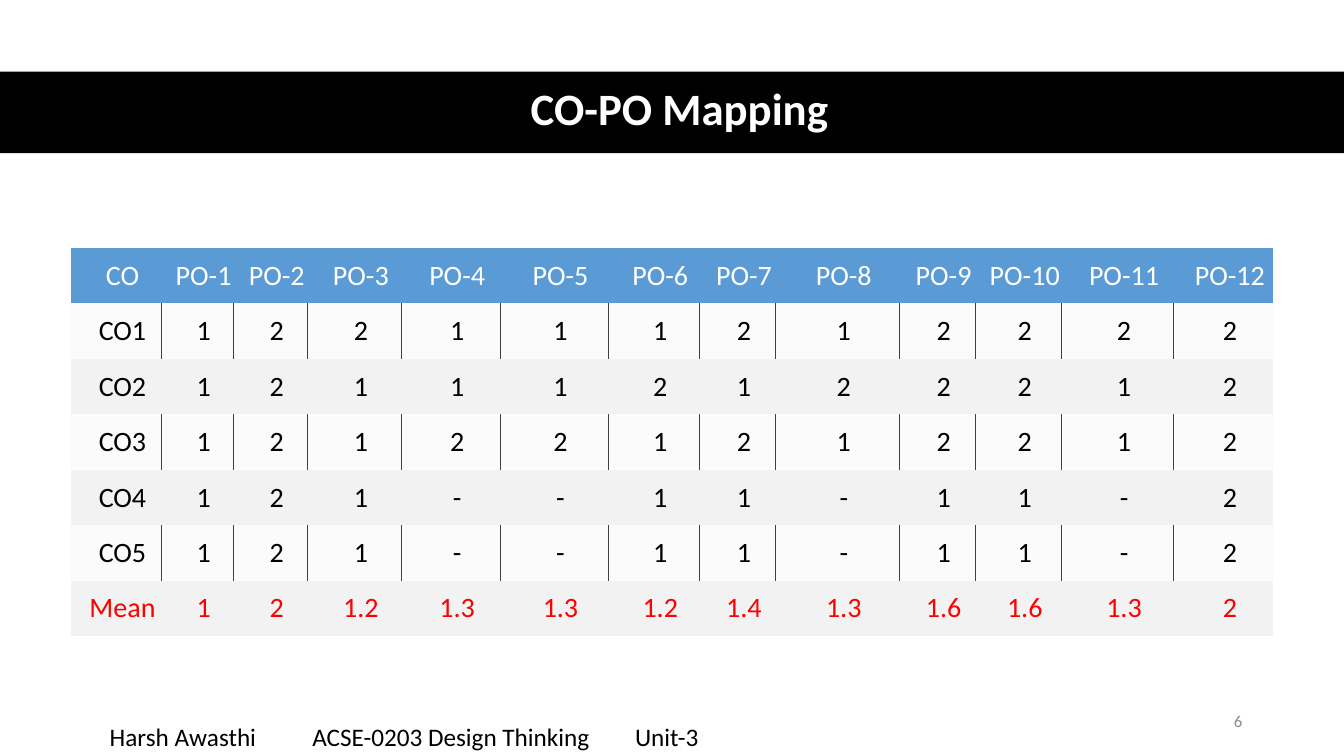
from lxml import etree
from pptx import Presentation
from pptx.dml.color import RGBColor
from pptx.enum import shapes, text
from pptx.oxml import ns
from pptx.util import Inches, Pt

FONT = "Calibri"
NO_STYLE = "{2D5ABB26-0587-4C30-8999-92F81FD0307C}"
MIDDLE = text.MSO_ANCHOR.MIDDLE
ALIGN = text.PP_ALIGN

COL_WIDTHS = [0.9, 0.71, 0.74, 0.93, 0.98, 1.07, 0.91, 0.75, 1.23, 0.75, 0.86, 1.11, 0.99]
ROWS = [
    ["CO"] + [f"PO-{n}" for n in range(1, 13)],
    "CO1 1 2 2 1 1 1 2 1 2 2 2 2".split(),
    "CO2 1 2 1 1 1 2 1 2 2 2 1 2".split(),
    "CO3 1 2 1 2 2 1 2 1 2 2 1 2".split(),
    "CO4 1 2 1 - - 1 1 - 1 1 - 2".split(),
    "CO5 1 2 1 - - 1 1 - 1 1 - 2".split(),
    "Mean 1 2 1.2 1.3 1.3 1.2 1.4 1.3 1.6 1.6 1.3 2".split(),
]


def color(value):
    return RGBColor.from_string(value)


def set_attrs(obj, values):
    for name, value in values.items():
        setattr(obj, name, value)


def box(*lengths):
    return dict(zip(("left", "top", "width", "height"), map(Inches, lengths)))


def write(tf, content, size, hex_color, align, bold=False):
    p = tf.paragraphs[0]
    p.alignment = align
    r = p.add_run()
    r.text = content
    set_attrs(r.font, {"name": FONT, "size": Pt(size), "bold": bold})
    r.font.color.rgb = color(hex_color)
    return p


def add_bar(slide, place, fill):
    sp = slide.shapes.add_shape(shapes.MSO_SHAPE.RECTANGLE, **place)
    sp.shadow.inherit = False
    sp.fill.solid()
    sp.fill.fore_color.rgb = color(fill)
    sp.line.fill.background()


def add_title(slide, place, content):
    sp = slide.shapes.title
    set_attrs(sp, place)
    sp.text_frame.vertical_anchor = MIDDLE
    p = write(sp.text_frame, content, 32, "FFFFFF", ALIGN.CENTER, True)
    p.line_spacing = 0.9
    # Bring the title in front of the bar
    slide.shapes.element.append(sp.element)


def add_label(slide, place, content, size, hex_color, align, anchor, tabs=()):
    tf = slide.shapes.add_textbox(**place).text_frame
    set_attrs(tf, {"word_wrap": True, "vertical_anchor": anchor})
    p = write(tf, content, size, hex_color, align)
    if tabs:
        tab_list = etree.SubElement(p._p.get_or_add_pPr(), ns.qn("a:tabLst"))
        for pos in tabs:
            etree.SubElement(tab_list, ns.qn("a:tab"), pos=str(Inches(pos)), algn="l")


def cell_border(tc_pr, index, side):
    ln = etree.Element(ns.qn(f"a:ln{side}"), w=str(Pt(0.5)))
    fill = etree.SubElement(ln, ns.qn("a:solidFill"))
    etree.SubElement(fill, ns.qn("a:srgbClr"), val="404040")
    tc_pr.insert(index, ln)


def format_cell(cell, content, row, col):
    header, mean = row == 0, row == len(ROWS) - 1
    set_attrs(cell, {
        "margin_left": Inches(0.14), "margin_right": Inches(0.01),
        "margin_top": Inches(0.1), "margin_bottom": Inches(0.1),
        "vertical_anchor": MIDDLE,
    })
    hex_color = "FFFFFF" if header else "FF0000" if mean else "000000"
    write(cell.text_frame, content, 20, hex_color, ALIGN.CENTER)
    cell.fill.solid()
    cell.fill.fore_color.rgb = color("5B9BD5" if header else "F2F2F2")
    # Odd rows are translucent, with lines between the columns
    if row % 2:
        tc_pr = cell._tc.get_or_add_tcPr()
        clr = tc_pr.find(ns.qn("a:solidFill"))[0]
        etree.SubElement(clr, ns.qn("a:alpha"), val="30000")
        sides = [s for s, inner in (("L", col > 0), ("R", col < len(COL_WIDTHS) - 1)) if inner]
        for i, side in enumerate(sides):
            cell_border(tc_pr, i, side)


def add_mapping_table(slide, place):
    frame = slide.shapes.add_table(len(ROWS), len(COL_WIDTHS), **place)
    table = frame.table
    table.horz_banding = False
    table._tbl.tblPr.find(ns.qn("a:tableStyleId")).text = NO_STYLE
    for column, width in zip(table.columns, COL_WIDTHS):
        column.width = Inches(width)
    for i, values in enumerate(ROWS):
        table.rows[i].height = Inches(0.55)
        for j, value in enumerate(values):
            format_cell(table.cell(i, j), value, i, j)


def main():
    prs = Presentation()
    set_attrs(prs, {"slide_width": Inches(13.33), "slide_height": Inches(7.5)})
    slide = prs.slides.add_slide(prs.slide_layouts[5])

    # Title bar
    add_bar(slide, box(0, 0.71, 13.33, 0.81), "000000")
    add_title(slide, box(0.61, 0.7, 12.26, 0.81), "CO-PO Mapping")

    # Outcome mapping
    add_mapping_table(slide, box(0.7, 2.46, 11.93, 3.85))

    # Footer and slide number
    add_label(slide, box(0.99, 7.11, 10.7, 0.4),
              "Harsh Awasthi\tACSE-0203 Design Thinking\tUnit-3",
              18, "000000", ALIGN.LEFT, text.MSO_ANCHOR.TOP, (2.01, 5.21))
    add_label(slide, box(9.42, 6.95, 3, 0.4), "6", 12, "8C8C8C", ALIGN.RIGHT, MIDDLE)

    prs.save("out.pptx")


if __name__ == "__main__":
    main()
